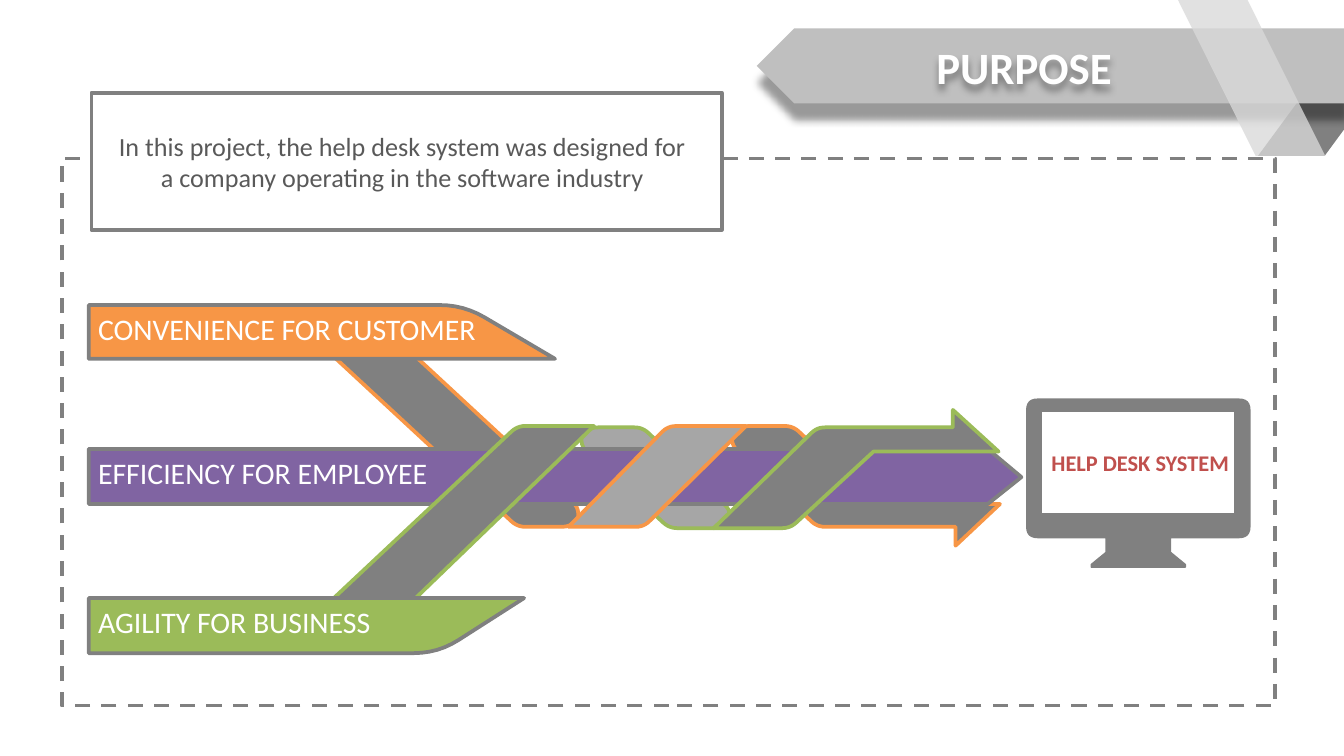
"""Build the purpose slide: three woven ribbons leading to a help desk system."""
from dataclasses import dataclass
from math import dist
from typing import Optional

from lxml.etree import SubElement
from pptx import Presentation
from pptx.dml.color import RGBColor
from pptx.enum.dml import MSO_LINE
from pptx.enum.shapes import MSO_SHAPE
from pptx.enum.text import MSO_ANCHOR, PP_ALIGN
from pptx.oxml.ns import qn
from pptx.util import Inches, Pt

COLORS = {
    "white": "FFFFFF", "gray": "808080", "mid": "A6A6A6", "silver": "BFBFBF",
    "pale": "D9D9D9", "text": "595959", "orange": "F79646", "green": "9BBB59",
    "purple": "8064A2", "red": "C0504D", "black": "000000",
}
SMALL, WIDE = 0.06, 0.18
CAP, CAP_END = 0.1, 0.08


@dataclass
class Ribbon:
    corners: list
    fill: str
    line: str
    label: str = ""


@dataclass
class Block:
    preset: MSO_SHAPE
    box: tuple
    fill: Optional[str] = None
    line: Optional[str] = None
    adjust: Optional[float] = None
    rotation: float = 0


@dataclass
class Label:
    lines: list
    size: float
    color: str
    bold: bool = False
    align: PP_ALIGN = PP_ALIGN.CENTER
    anchor: MSO_ANCHOR = MSO_ANCHOR.MIDDLE
    insets: tuple = (0.07, 0.04, 0.07, 0.04)


RIBBONS = [
    Ribbon([(7.44, 3.75), (6.52, 3.75), (5.9, 3.17, SMALL), (5.47, 3.17, CAP),
            (5.43, 3.3, CAP_END), (6.08, 3.92, SMALL), (7.11, 3.92), (7.11, 4.06)],
           "gray", "orange"),
    Ribbon([(4.98, 3.93, SMALL), (5.41, 3.93, CAP), (5.45, 3.81, CAP_END),
            (4.78, 3.18, SMALL), (4.35, 3.18, CAP), (4.31, 3.31, CAP_END)],
           "mid", "green"),
    Ribbon([(2.07, 2.27), (3.85, 3.92, SMALL), (4.28, 3.92, CAP),
            (4.32, 3.79, CAP_END), (2.68, 2.27, 0.12)], "gray", "orange"),
    Ribbon([(7.35, 3.75), (0.66, 3.75), (0.66, 3.34), (7.35, 3.34), (7.6, 3.55)],
           "purple", "gray", "EFFICIENCY FOR EMPLOYEE"),
    Ribbon([(2.08, 4.83), (3.85, 3.17, SMALL), (4.42, 3.17), (2.7, 4.83, 0.12)],
           "gray", "green"),
    Ribbon([(0.66, 4.86), (0.66, 4.45), (3.9, 4.45), (3.26, 4.86, WIDE)],
           "green", "gray", "AGILITY FOR BUSINESS"),
    Ribbon([(4.23, 3.92), (4.97, 3.17, SMALL), (5.55, 3.17), (4.79, 3.92, SMALL)],
           "mid", "orange"),
    Ribbon([(7.43, 3.36), (7.09, 3.05), (7.09, 3.18), (6.08, 3.18, SMALL),
            (5.31, 3.93), (5.88, 3.93, SMALL), (6.5, 3.36)], "gray", "green"),
    Ribbon([(0.66, 2.27), (3.45, 2.27, WIDE), (4.13, 2.67), (0.66, 2.67)],
           "orange", "gray", "CONVENIENCE FOR CUSTOMER"),
]
MONITOR = [(7.64, 2.97, 0.08), (9.3, 2.97, 0.08), (9.3, 4, 0.08), (8.71, 4),
           (8.71, 4.11), (8.82, 4.2), (8.82, 4.22), (8.12, 4.22), (8.12, 4.2),
           (8.23, 4.11), (8.23, 4), (7.64, 4, 0.08)]
SCREEN = [(9.19, 3.06), (7.75, 3.06), (7.75, 3.82), (9.19, 3.82)]


def rgb(name: str) -> RGBColor:
    return RGBColor.from_string(COLORS[name])


def toward(start: tuple, end: tuple, length: float) -> tuple:
    share = length / dist(start, end)
    return tuple(a + (b - a) * share for a, b in zip(start, end))


def round_corners(corners: list, steps: int = 6) -> list:
    points = []
    for index, (x, y, *radius) in enumerate(corners):
        corner = (x, y)
        if not radius:
            points.append(corner)
            continue
        before = toward(corner, corners[index - 1][:2], radius[0])
        after = toward(corner, corners[(index + 1) % len(corners)][:2], radius[0])
        for step in range(steps + 1):
            t = step / steps
            points.append(tuple((1 - t) ** 2 * a + 2 * t * (1 - t) * b + t * t * c
                                for a, b, c in zip(before, corner, after)))
    return [(Inches(x), Inches(y)) for x, y in points]


def paint(shape, fill: Optional[str], line: Optional[str], width: float = 2) -> None:
    shape.shadow.inherit = False
    if fill:
        shape.fill.solid()
        shape.fill.fore_color.rgb = rgb(fill)
    else:
        shape.fill.background()
    if line:
        shape.line.color.rgb = rgb(line)
        shape.line.width = Pt(width)
    else:
        shape.line.fill.background()


def draw_outline(slide, outlines: list, fill: str, line: str, width: float = 2):
    first, *others = [round_corners(corners) for corners in outlines]
    builder = slide.shapes.build_freeform(*first[0])
    builder.add_line_segments(first[1:], close=True)
    for points in others:
        builder.move_to(*points[0])
        builder.add_line_segments(points[1:], close=True)
    outline = builder.convert_to_shape()
    paint(outline, fill, line, width)
    return outline


def draw_block(slide, block: Block):
    shape = slide.shapes.add_shape(block.preset, *map(Inches, block.box))
    paint(shape, block.fill, block.line)
    shape.rotation = block.rotation
    if block.adjust is not None:
        shape.adjustments[0] = block.adjust
    return shape


def write(shape, label: Label) -> None:
    frame = shape.text_frame
    sides = ("margin_left", "margin_top", "margin_right", "margin_bottom")
    layout = {"word_wrap": True, "vertical_anchor": label.anchor,
              **dict(zip(sides, map(Inches, label.insets)))}
    for name, value in layout.items():
        setattr(frame, name, value)
    for index, line in enumerate(label.lines):
        paragraph = frame.paragraphs[0] if index == 0 else frame.add_paragraph()
        paragraph.alignment = label.align
        run = paragraph.add_run()
        run.text = line
        run.font.color.rgb = rgb(label.color)
        style = {"name": "Calibri", "size": Pt(label.size), "bold": label.bold}
        for name, value in style.items():
            setattr(run.font, name, value)


def write_box(slide, box: tuple, label: Label):
    text_box = slide.shapes.add_textbox(*map(Inches, box))
    write(text_box, label)
    return text_box


def set_alpha(color_element, percent: int) -> None:
    SubElement(color_element, qn("a:alpha")).set("val", str(percent * 1000))


def cast_shadow(shape, distance: float) -> None:
    shape.shadow.inherit = False
    effects = shape._element.spPr.find(qn("a:effectLst"))
    shadow = SubElement(effects, qn("a:outerShdw"))
    values = {"blurRad": Pt(4), "dist": Pt(distance), "dir": 90 * 60000, "rotWithShape": 0}
    for name, value in values.items():
        shadow.set(name, str(int(value)))
    color = SubElement(shadow, qn("a:srgbClr"))
    color.set("val", COLORS["black"])
    set_alpha(color, 40)


def draw_banner(slide) -> None:
    draw_block(slide, Block(MSO_SHAPE.PARALLELOGRAM, (9.36, 0.27, 1.15, 0.89), "gray", adjust=0.735))
    cast_shadow(draw_block(slide, Block(MSO_SHAPE.PENTAGON, (5.63, 0.21, 4.39, 0.56), "silver", rotation=180)), 9)
    cast_shadow(write_box(slide, (5.95, 0.23, 3.34, 0.53), Label(["PURPOSE"], 24, "white", bold=True)), 3)
    band = draw_block(slide, Block(MSO_SHAPE.PARALLELOGRAM, (8.71, -0.11, 1.15, 1.27), "pale", adjust=0.55))
    properties = band._element.spPr
    properties.find(qn("a:xfrm")).set("flipV", "1")
    set_alpha(properties.find(qn("a:solidFill"))[0], 78)


def main() -> None:
    deck = Presentation()
    deck.slide_width = Inches(10)
    deck.slide_height = deck.slide_width * 9 // 16
    slide = deck.slides.add_slide(deck.slide_layouts[6])
    for ribbon in RIBBONS:
        strip = draw_outline(slide, [ribbon.corners], ribbon.fill, ribbon.line)
        if ribbon.label:
            write(strip, Label([ribbon.label], 16, "white", align=PP_ALIGN.LEFT, anchor=MSO_ANCHOR.TOP))
    draw_banner(slide)
    frame = draw_block(slide, Block(MSO_SHAPE.RECTANGLE, (0.46, 1.18, 9.03, 4.07), line="gray"))
    frame.line.dash_style = MSO_LINE.DASH
    summary = draw_block(slide, Block(MSO_SHAPE.RECTANGLE, (0.68, 0.69, 4.69, 1.02), "white", "gray"))
    write(summary, Label(["In this project, the help desk system was designed for",
                          "a company operating in the software industry"], 14, "text",
                         anchor=MSO_ANCHOR.TOP, insets=(0.1, 0.28, 0.16, 0.05)))
    draw_outline(slide, [MONITOR, SCREEN], "gray", "gray", 0.75)
    write_box(slide, (7.52, 3.29, 1.93, 0.3), Label(["HELP DESK SYSTEM"], 12, "red", bold=True))
    deck.save("out.pptx")


if __name__ == "__main__":
    main()
